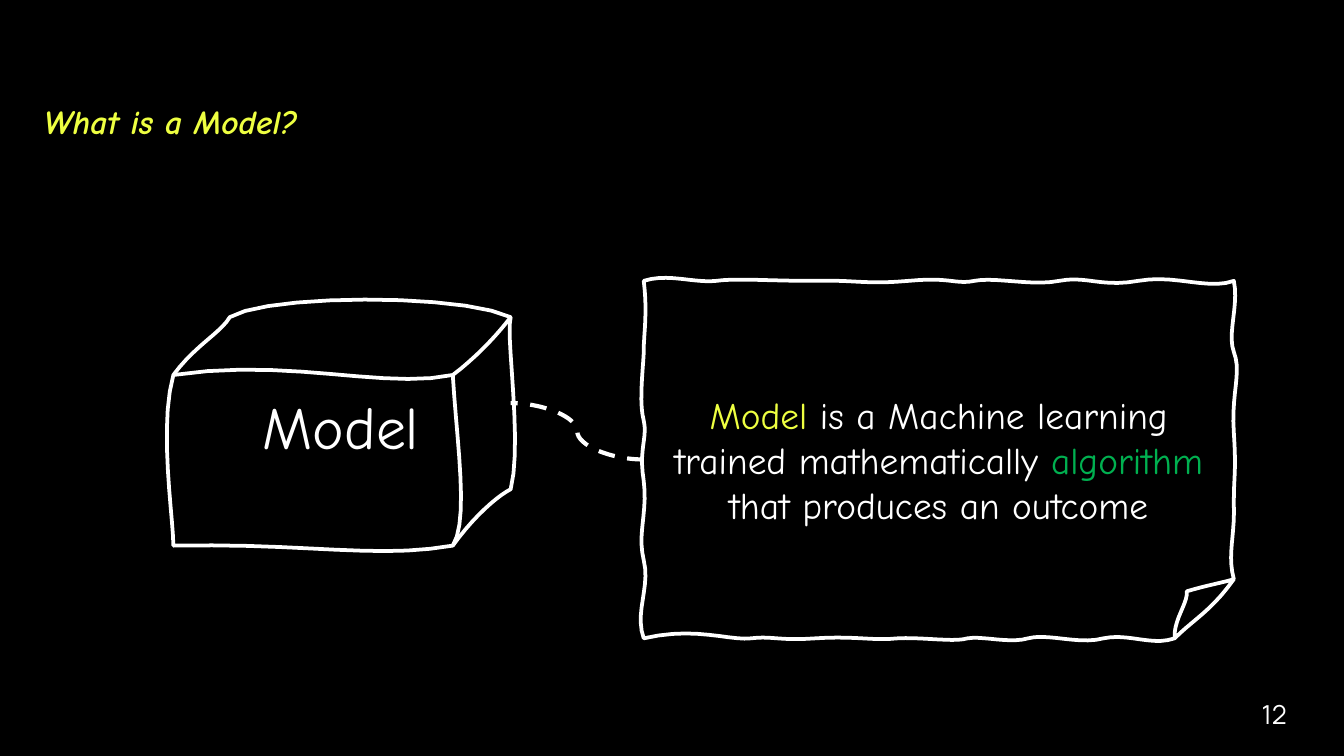
"""Build the slide that explains what a model is."""
from dataclasses import dataclass

from lxml import etree
from pptx import Presentation
from pptx import util as u
from pptx.dml.color import RGBColor
from pptx.enum import dml, shapes, text
from pptx.oxml import ns

Pt = u.Pt


@dataclass(frozen=True)
class Theme:
    black: str = "000000"
    white: str = "FFFFFF"
    yellow: str = "EEFF41"
    green: str = "00B050"
    hand: str = "Comic Neue"
    plain: str = "Manrope"
    number_size: int = 14
    title_size: int = 18
    body_size: int = 20
    label_size: int = 32
    outline: float = 2
    dash: float = 2.25


THEME = Theme()

PAPER = [
    [(629.3, 342),
     (628.6, 331.9, 636.5, 323.3, 635.8, 316.8),
     (648, 313.2, 653.8, 312.5, 661, 310.3),
     (649.4, 326.9, 639.4, 331.9, 629.3, 342),
     (617, 346.3, 604.8, 339.1, 591.1, 342),
     (578.2, 345.6, 560.9, 339.1, 550.8, 342),
     (540.7, 344.9, 526.3, 340.6, 518.4, 342),
     (511.2, 344.2, 494.6, 341.3, 481, 342),
     (466.6, 343.4, 458.6, 340.6, 437, 342),
     (416.2, 343.4, 414, 340.6, 402.5, 342),
     (391, 343.4, 372.2, 335.5, 344.9, 342),
     (339.8, 328.3, 348.5, 314.6, 344.9, 300.2),
     (341.3, 285.8, 347, 275, 344.9, 257.8),
     (342, 240.5, 347, 234.7, 344.9, 225.4),
     (342, 215.3, 344.9, 195.1, 344.9, 187.2),
     (344.9, 178.6, 347, 167.8, 344.9, 150.5),
     (357.8, 146.2, 372.2, 151.9, 383.8, 150.5),
     (394.6, 149, 411.1, 150.5, 434.9, 150.5),
     (458.6, 149.8, 463.7, 152.6, 486.7, 150.5),
     (509.8, 148.3, 511.9, 152.6, 522, 150.5),
     (532.8, 148.3, 553, 153.4, 567.4, 150.5),
     (581.8, 147.6, 589.7, 154.1, 609.8, 150.5),
     (629.3, 146.9, 647.3, 155.5, 661, 150.5),
     (663.8, 163.4, 657.4, 178.6, 661, 188.6),
     (665.3, 199.4, 659.5, 211, 661, 231.8),
     (662.4, 253.4, 661, 253.4, 661, 270),
     (661.7, 287.3, 657.4, 296.6, 661, 310.3)],
]

BOX = [
    [(92.9, 200.9),
     (103.7, 185.8, 118.8, 177.8, 123.1, 169.9),
     (142.6, 157.7, 246.2, 157, 273.6, 169.9),
     (270.7, 179.3, 280.1, 236.9, 273.6, 262.1),
     (266.4, 265.7, 253.4, 277.2, 242.6, 292.3),
     (201.6, 299.5, 165.6, 290.9, 92.9, 292.3),
     (92.9, 277.9, 85, 228.2, 92.9, 200.9)],
    [(92.9, 200.9),
     (154.8, 191.5, 205.2, 208.8, 242.6, 200.9),
     (257.8, 189.4, 269.3, 175.7, 273.6, 169.9)],
    [(242.6, 200.9),
     (244.8, 237.6, 251.3, 278.6, 242.6, 292.3)],
]


def rgb(color):
    return RGBColor.from_string(color)


def flatten(start, curves, steps=10):
    points, (x0, y0) = [], start
    for x1, y1, x2, y2, x3, y3 in curves:
        for step in range(1, steps + 1):
            t = step / steps
            a, b, c, d = (1 - t) ** 3, 3 * t * (1 - t) ** 2, 3 * t * t * (1 - t), t ** 3
            points.append((Pt(a * x0 + b * x1 + c * x2 + d * x3),
                           Pt(a * y0 + b * y1 + c * y2 + d * y3)))
        x0, y0 = x3, y3
    return points


def write(frame, pieces, size, font=THEME.hand, align=text.PP_ALIGN.CENTER):
    frame.word_wrap = True
    frame.vertical_anchor = text.MSO_ANCHOR.MIDDLE
    paragraph = frame.paragraphs[0]
    paragraph.alignment = align
    for words, color in pieces:
        run = paragraph.add_run()
        run.text = words
        run.font.name = font
        run.font.size = Pt(size)
        run.font.color.rgb = rgb(color)
    return paragraph


def add_text(slide, place, pieces, size, **style):
    frame = slide.shapes.add_textbox(*map(Pt, place)).text_frame
    frame.margin_left = frame.margin_right = Pt(7.2)
    frame.margin_top = frame.margin_bottom = Pt(7.2)
    return write(frame, pieces, size, **style)


def add_sketch(slide, strokes, pieces, size, fill=None):
    first = strokes[0][0]
    builder = slide.shapes.build_freeform(Pt(first[0]), Pt(first[1]))
    for index, (start, *curves) in enumerate(strokes):
        if index:
            builder.move_to(Pt(start[0]), Pt(start[1]))
        builder.add_line_segments(flatten(start, curves), close=False)
    sketch = builder.convert_to_shape()
    sketch.shadow.inherit = False
    if fill:
        sketch.fill.solid()
        sketch.fill.fore_color.rgb = rgb(fill)
    else:
        sketch.fill.background()
    sketch.line.color.rgb = rgb(THEME.white)
    sketch.line.width = Pt(THEME.outline)
    write(sketch.text_frame, pieces, size)


def add_link(slide, start, end):
    link = slide.shapes.add_connector(
        shapes.MSO_CONNECTOR.CURVE, *map(Pt, (*start, *end)))
    link.line.color.rgb = rgb(THEME.white)
    link.line.width = Pt(THEME.dash)
    link.line.dash_style = dml.MSO_LINE.DASH
    etree.SubElement(link._element.spPr, ns.qn("a:effectLst"))


def main():
    deck = Presentation()
    deck.slide_width, deck.slide_height = Pt(720), Pt(405)
    slide = deck.slides.add_slide(deck.slide_layouts[6])
    slide.background.fill.solid()
    slide.background.fill.fore_color.rgb = rgb(THEME.black)

    add_text(slide, (661, 367.2, 43.2, 31), [("12", THEME.white)],
             THEME.number_size, font=THEME.plain)
    definition = [
        ("Model ", THEME.yellow),
        ("is a Machine learning trained mathematically ", THEME.white),
        ("algorithm", THEME.green),
        (" that produces an outcome", THEME.white),
    ]
    add_sketch(slide, PAPER, definition, THEME.body_size, fill=THEME.black)
    add_link(slide, (344.9, 246.2), (273.6, 216))
    title = add_text(slide, (16.6, 43.2, 496, 47.5),
                     [("What is a Model?", THEME.yellow)],
                     THEME.title_size, align=text.PP_ALIGN.LEFT)
    title.line_spacing = 0.8
    title.runs[0].font.bold = title.runs[0].font.italic = True
    add_sketch(slide, BOX, [("Model", THEME.white)], THEME.label_size)

    deck.save("out.pptx")


if __name__ == "__main__":
    main()
